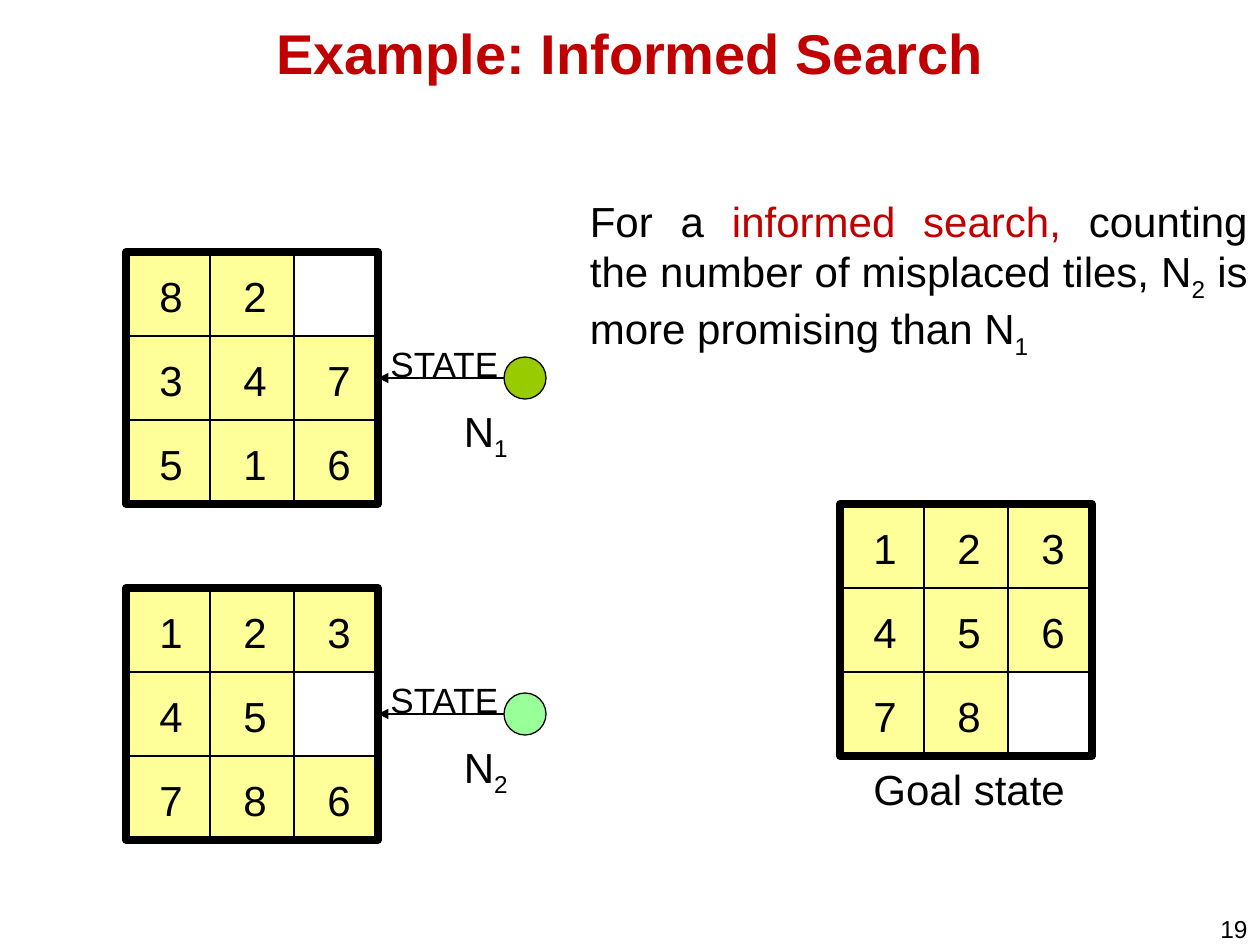
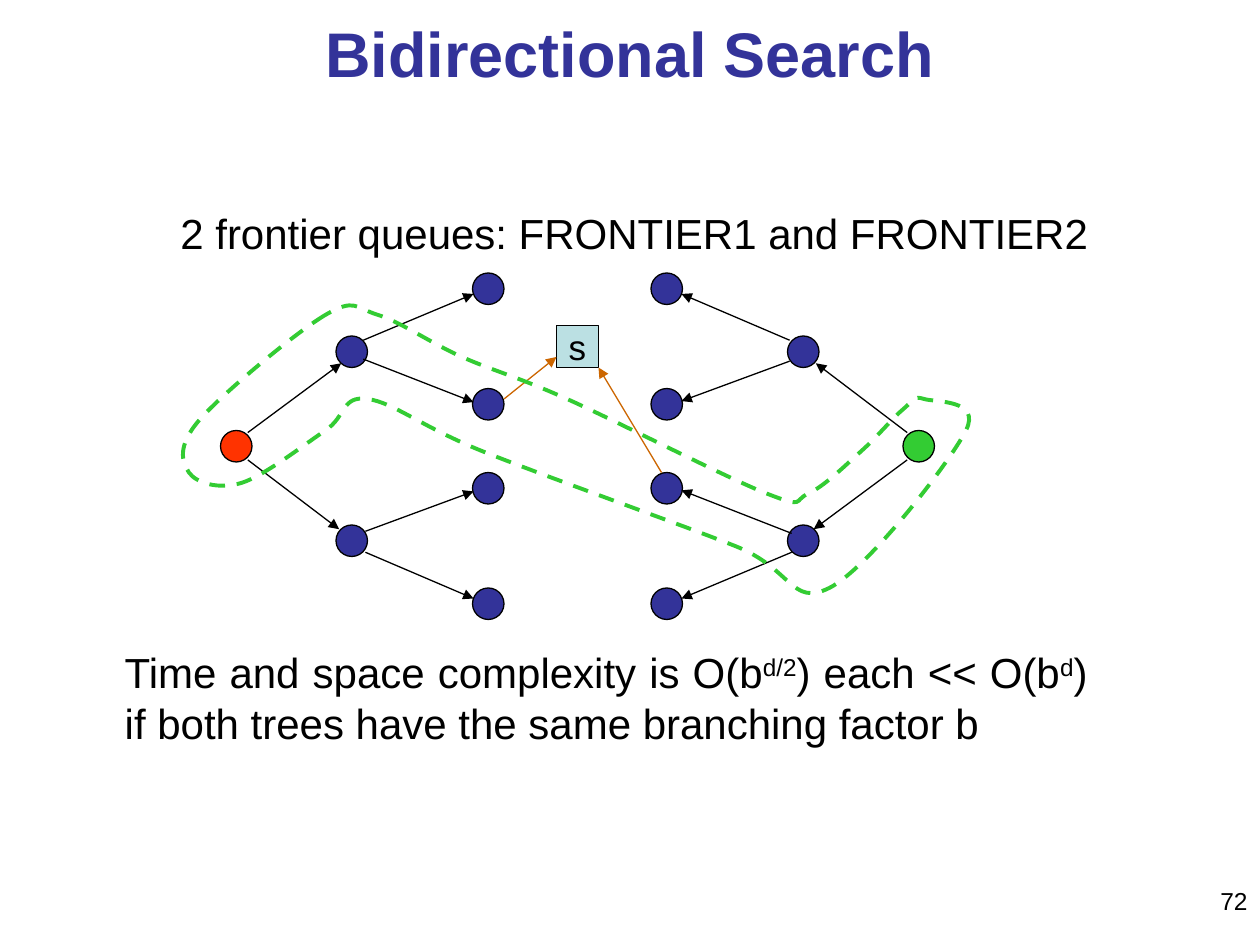
from pptx import Presentation
from pptx.dml.color import RGBColor
from pptx.enum.dml import MSO_LINE
from pptx.enum.shapes import MSO_CONNECTOR, MSO_SHAPE
from pptx.enum.text import MSO_ANCHOR, PP_ALIGN
from pptx.oxml.xmlchemy import OxmlElement
from pptx.util import Inches, Pt

COLOURS = {
    "black": "000000", "red": "C00000", "indigo": "333399", "tile": "FFFF99",
    "olive": "99CC00", "mint": "99FF99", "start": "FF3300", "goal": "33CC33",
    "meeting": "BBE0E3", "orange": "CC6600",
}
FONT = "Arial"
COLUMNS = 120

presentation = Presentation()
presentation.slide_width = Inches(10)
presentation.slide_height = Inches(7.5)
UNIT = presentation.slide_width // COLUMNS


def add_text(slide, box, runs, size=24, alignment=PP_ALIGN.LEFT, wrap=False):
    shape = slide.shapes.add_textbox(*[round(UNIT * value) for value in box])
    shape.text_frame.word_wrap = wrap
    paragraph = shape.text_frame.paragraphs[0]
    paragraph.alignment = alignment
    for text, baseline, colour in runs:
        if text == "\n":
            paragraph.add_line_break()
            continue
        run = paragraph.add_run()
        run.text = text
        for name, value in {"name": FONT, "size": Pt(size)}.items():
            setattr(run.font, name, value)
        run.font.color.rgb = RGBColor.from_string(COLOURS[colour])
        if baseline:
            run.font._element.set("baseline", str(baseline * 1000))


def add_figure(slide, kind, box, fill=None, line="black", width=0.75):
    is_arrow = isinstance(kind, MSO_CONNECTOR)
    add = slide.shapes.add_connector if is_arrow else slide.shapes.add_shape
    shape = add(kind, *[round(UNIT * value) for value in box])
    shape.line.color.rgb = RGBColor.from_string(COLOURS[line])
    shape.line.width = Pt(width)
    if is_arrow:
        tail = OxmlElement("a:tailEnd")
        tail.set("type", "triangle")
        shape.line._get_or_add_ln().append(tail)
        shape._element.spPr.append(OxmlElement("a:effectLst"))
    else:
        shape.shadow.inherit = False
        if fill:
            shape.fill.solid()
            shape.fill.fore_color.rgb = RGBColor.from_string(COLOURS[fill])
        else:
            shape.fill.background()
    return shape


slides = []
for title_text, title_size, title_colour, number, number_top in [
    ("Example: Informed Search", 32, "red", "19", 86.5),
    ("Bidirectional Search", 36, "indigo", "72", 83.75),
]:
    slide = presentation.slides.add_slide(presentation.slide_layouts[5])
    title = slide.shapes.title
    for name, value in {"left": 2, "top": 0, "width": 116, "height": 10}.items():
        setattr(title, name, UNIT * value)
    title.text_frame.text = title_text
    title.text_frame.vertical_anchor = MSO_ANCHOR.MIDDLE
    paragraph = title.text_frame.paragraphs[0]
    paragraph.alignment = PP_ALIGN.CENTER
    for name, value in {"name": FONT, "size": Pt(title_size), "bold": True}.items():
        setattr(paragraph.font, name, value)
    paragraph.font.color.rgb = RGBColor.from_string(COLOURS[title_colour])
    add_text(slide, (92, number_top, 28, 3.5), [(number, 0, "black")], 14, PP_ALIGN.RIGHT, True)
    slides.append(slide)

informed_slide, bidirectional_slide = slides

add_text(informed_slide, (55, 18, 65, 15.7), [
    ("For a ", 0, "black"),
    ("informed search, ", 0, "red"),
    ("counting the number of misplaced tiles, N", 0, "black"),
    ("2", -25, "black"),
    (" is more promising than N", 0, "black"),
    ("1", -25, "black"),
], alignment=PP_ALIGN.JUSTIFY, wrap=True)
add_text(informed_slide, (82, 72.1, 21.5, 6), [("Goal state", 0, "black")])

for index, top, colour in [("1", 34, "olive"), ("2", 66, "mint")]:
    add_figure(informed_slide, MSO_SHAPE.OVAL, (48, top, 4, 4), colour)
    add_figure(informed_slide, MSO_CONNECTOR.STRAIGHT, (48, top + 2, 36, top + 2))
    add_text(informed_slide, (43, top + 4, 6.8, 6), [("N", 0, "black"), (index, -25, "black")])
    add_text(informed_slide, (36, top - 2, 12.8, 5.3), [("STATE", 0, "black")], 20)

TILE = 8
for board_left, board_top, rows in [
    (12, 24, ["82 ", "347", "516"]),
    (12, 56, ["123", "45 ", "786"]),
    (80, 48, ["123", "456", "78 "]),
]:
    for row, digits in enumerate(rows):
        for column, digit in enumerate(digits):
            if digit == " ":
                continue
            left, top = board_left + TILE * column, board_top + TILE * row
            add_figure(informed_slide, MSO_SHAPE.RECTANGLE, (left, top, TILE, TILE), "tile")
            add_text(informed_slide, (left + 2, top + 1.15, 4.8, 6), [(digit, 0, "black")])
    add_figure(informed_slide, MSO_SHAPE.RECTANGLE,
               (board_left, board_top, 3 * TILE, 3 * TILE), width=4.5)

NODE = 3
CENTRE_SUM = (110, 85)
tree_nodes = [(32, 32), (32, 50), (45, 26), (45, 37), (45, 45), (45, 56)]
tree_arrows = [
    (23.6, 43.8, 32.3, 50.4), (23.6, 41.2, 32.5, 34.6),
    (34.8, 52.6, 45.1, 57), (34.6, 34.2, 45.1, 38.3),
    (34.8, 50.6, 45.1, 46.8), (34.6, 32.4, 45.1, 28),
]
for turned, root_colour in [(False, "start"), (True, "goal")]:
    for position, (left, top) in enumerate([(21, 41)] + tree_nodes):
        if turned:
            left, top = CENTRE_SUM[0] - NODE - left, CENTRE_SUM[1] - NODE - top
        add_figure(bidirectional_slide, MSO_SHAPE.OVAL, (left, top, NODE, NODE),
                   "indigo" if position else root_colour)
    for arrow in tree_arrows:
        if turned:
            arrow = [total - value for total, value in zip(CENTRE_SUM * 2, arrow)]
        add_figure(bidirectional_slide, MSO_CONNECTOR.STRAIGHT, arrow)

add_text(bidirectional_slide, (16, 19.2, 89.8, 6),
         [("2 frontier queues: FRONTIER1 and FRONTIER2", 0, "black")])

meeting_state = add_figure(bidirectional_slide, MSO_SHAPE.RECTANGLE, (53, 31, 4, 4), "meeting")
meeting_state.text_frame.text = "s"
meeting_state.text_frame.word_wrap = False
meeting_state.text_frame.vertical_anchor = MSO_ANCHOR.MIDDLE
paragraph = meeting_state.text_frame.paragraphs[0]
paragraph.alignment = PP_ALIGN.CENTER
for name, value in {"name": FONT, "size": Pt(20)}.items():
    setattr(paragraph.font, name, value)
paragraph.font.color.rgb = RGBColor.from_string(COLOURS["black"])
for arrow in [(48, 38, 53, 34), (63, 45, 57, 35)]:
    add_figure(bidirectional_slide, MSO_CONNECTOR.STRAIGHT, arrow, line="orange")

add_text(bidirectional_slide, (10.7, 61, 95.3, 10.9), [
    ("Time and space complexity is", 0, "black"),
    (" O(b", 0, "black"),
    ("d/2", 30, "black"),
    (") each << O(b", 0, "black"),
    ("d", 30, "black"),
    (") ", 0, "black"),
    ("\n", 0, "black"),
    ("if both trees have the same branching factor b", 0, "black"),
], alignment=PP_ALIGN.JUSTIFY)

knots = [
    (31, 30), (19, 40), (18, 45), (23, 46), (31, 41), (35, 38),
    (46, 43), (70, 52), (79, 56), (92, 41), (88, 38), (86, 39),
    (82, 43), (77, 47), (73, 47), (54, 38), (44, 34), (36, 30),
]
curve_points = []
for index, start in enumerate(knots):
    before = knots[index - 1]
    end, after = [knots[(index + step) % len(knots)] for step in (1, 2)]
    curve_points += [
        [UNIT * (s + (e - b) / 6) for b, s, e in zip(before, start, end)],
        [UNIT * (e - (a - s) / 6) for s, e, a in zip(start, end, after)],
        [UNIT * value for value in end],
    ]
builder = bidirectional_slide.shapes.build_freeform(*[UNIT * value for value in knots[0]])
builder.add_line_segments(curve_points, close=True)
frontier = builder.convert_to_shape()
frontier.shadow.inherit = False
frontier.fill.background()
frontier.line.color.rgb = RGBColor.from_string(COLOURS["goal"])
for name, value in {"width": Pt(2.25), "dash_style": MSO_LINE.DASH}.items():
    setattr(frontier.line, name, value)
outline = frontier._element.xpath(".//a:path")[0]
segments = outline.xpath("./a:lnTo")
for index in range(0, len(segments), 3):
    curve = OxmlElement("a:cubicBezTo")
    segments[index].addprevious(curve)
    for segment in segments[index:index + 3]:
        curve.append(segment[0])
        outline.remove(segment)

presentation.save("out.pptx")
